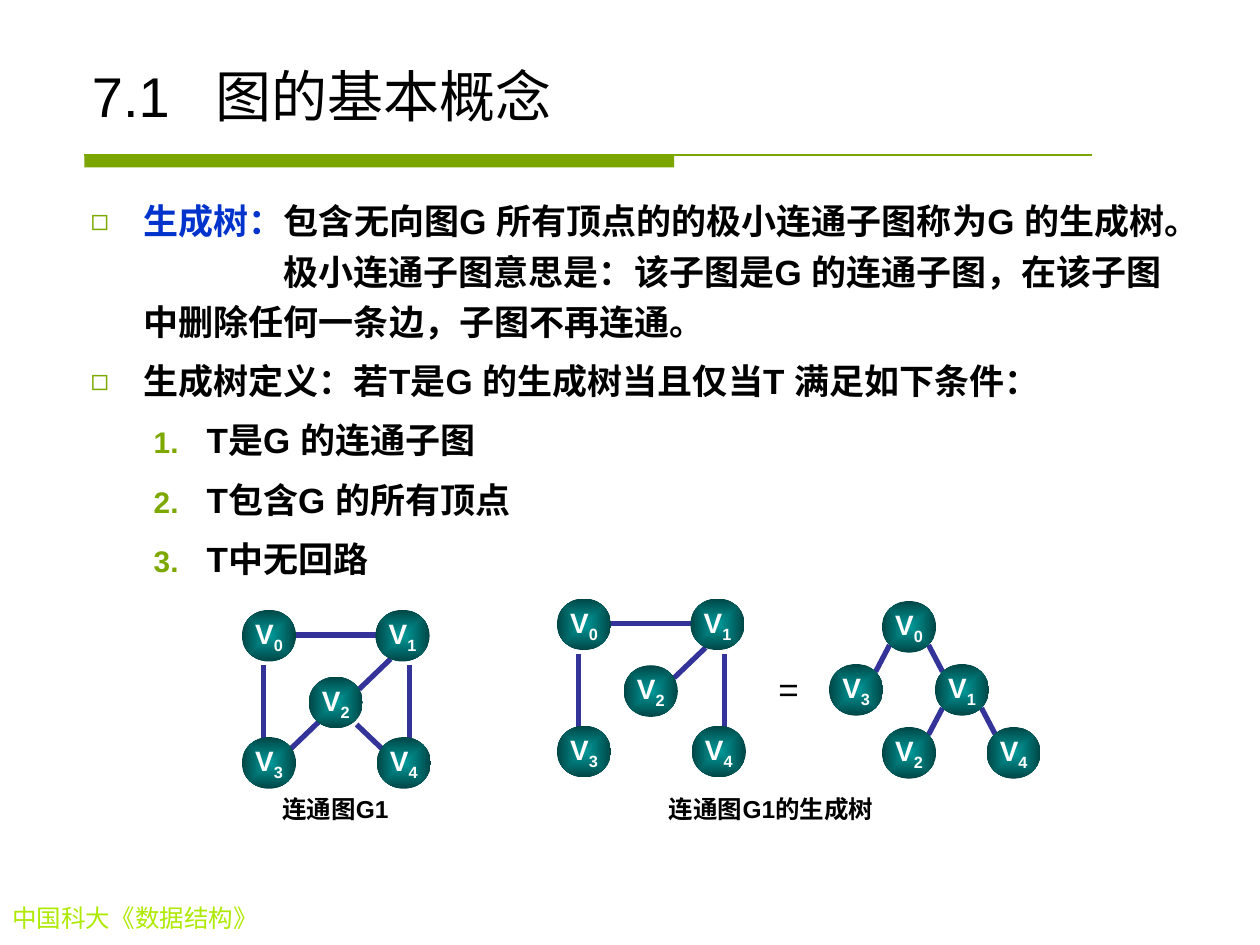
from lxml import etree
from pptx import Presentation
from pptx.dml.color import RGBColor
from pptx.enum import shapes, text
from pptx.oxml import ns
from pptx.util import Inches, Pt

COLORS = {"rule": "7BA600", "bullet": "7CA800", "footer": "ADEA00", "term": "0033CC",
          "ink": "000000", "label": "FFFFFF", "edge": "333399",
          "node_center": "009999", "node_rim": "004646"}
TITLE = "7.1\t图的基本概念"
FOOTER = "中国科大《数据结构》"
# (level, [(text, colour), ...])
BODY = [
    (0, [("生成树：", "term"),
         ("包含无向图G 所有顶点的的极小连通子图称为G 的生成树。\t极小连通子图意思是："
          "该子图是G 的连通子图，在该子图中删除任何一条边，子图不再连通。", "ink")]),
    (0, [("生成树定义：若T是G 的生成树当且仅当T 满足如下条件：", "ink")]),
    (1, [("T是G 的连通子图", "ink")]),
    (1, [("T包含G 的所有顶点", "ink")]),
    (1, [("T中无回路", "ink")]),
]
# Vertex positions and edge ends are offsets from the corner of vertex 0.
SQUARE = {0: (0, 0), 4: (1.07, 1.01), 3: (0, 1.01), 1: (1.06, 0), 2: (0.53, 0.53)}
TREE = {0: (0, 0), 4: (0.83, 1), 3: (-0.42, 0.5), 1: (0.42, 0.5), 2: (0, 1)}
SPANNING_EDGES = [(0.17, 0.44, 0.17, 1.02), (0.42, 0.2, 1.13, 0.2),
                  (1.33, 0.44, 1.33, 1.02), (1.18, 0.39, 0.93, 0.63)]
EXTRA_EDGES = [(0.62, 0.88, 0.37, 1.12), (0.91, 0.91, 1.13, 1.12)]
TREE_EDGES = [(0.06, 0.35, -0.05, 0.56), (0.37, 0.35, 0.48, 0.56),
              (0.48, 0.85, 0.37, 1.06), (0.79, 0.85, 0.9, 1.06)]
GRAPHS = [((1.92, 4.84), SQUARE, SPANNING_EDGES + EXTRA_EDGES),
          ((4.42, 4.75), SQUARE, SPANNING_EDGES),
          ((7, 4.77), TREE, TREE_EDGES)]
# (text, box, size, bold, font, colour, wrap)
LABELS = [
    (FOOTER, (0, 7.12, 3.11, 0.34), 14, False, "Times New Roman", "footer", True),
    ("连通图G1", (2.14, 6.25, 1.09, 0.34), 14, True, "Arial", "ink", False),
    ("连通图G1的生成树", (5.21, 6.25, 1.92, 0.34), 14, True, "Arial", "ink", False),
    ("=", (6.08, 5.25, 0.36, 0.44), 20, False, "Arial", "ink", False),
]
NODE_SIZE = (0.43, 0.41)


def rgb(name):
    return RGBColor.from_string(COLORS[name])


def inches(values):
    return [Inches(value) for value in values]


def add_run(paragraph, content, size, color, bold=False, font="Arial"):
    run = paragraph.add_run()
    run.text = content
    run.font.size, run.font.bold, run.font.name = Pt(size), bold, font
    run.font.color.rgb = rgb(color)
    return run


def add_element(parent, tag, **attributes):
    return etree.SubElement(parent, ns.qn(tag), attributes)


def add_tab_stop(paragraph, position):
    tabs = add_element(paragraph._p.get_or_add_pPr(), "a:tabLst")
    add_element(tabs, "a:tab", pos=str(Inches(position)), algn="l")


def place(placeholder, box):
    placeholder.left, placeholder.top, placeholder.width, placeholder.height = inches(box)
    placeholder.text_frame.auto_size = text.MSO_AUTO_SIZE.NONE


def format_bullet(paragraph, level):
    properties = paragraph._p.get_or_add_pPr()
    properties.set("marL", str(Inches(0.92 if level else 0.42)))
    properties.set("indent", str(Inches(-0.42)))
    add_element(add_element(properties, "a:buClr"), "a:srgbClr", val=COLORS["bullet"])
    add_element(properties, "a:buSzPct", val="85000")
    add_element(properties, "a:buFont", typeface="Arial")
    if level:
        add_element(properties, "a:buAutoNum", type="arabicPeriod")
    else:
        add_element(properties, "a:buChar", char="◻")


def add_line(slide, ends, color, width):
    line = slide.shapes.add_connector(shapes.MSO_CONNECTOR.STRAIGHT, *inches(ends))
    line.line.color.rgb, line.line.width = rgb(color), Pt(width)
    add_element(line._element.spPr, "a:effectLst")


def add_rule(slide):
    bar = slide.shapes.add_shape(shapes.MSO_SHAPE.RECTANGLE, *inches((0.67, 1.23, 4.68, 0.1)))
    bar.shadow.inherit = False
    bar.fill.solid()
    bar.fill.fore_color.rgb = rgb("rule")
    bar.line.fill.background()
    add_line(slide, (0.67, 1.23, 8.67, 1.23), "rule", 0.75)


def add_node(slide, left, top, number):
    node = slide.shapes.add_shape(shapes.MSO_SHAPE.OVAL, *inches((left, top, *NODE_SIZE)))
    node.shadow.inherit = False
    node.line.fill.background()
    node.fill.gradient()
    for stop, color in zip(node.fill.gradient_stops, ("node_center", "node_rim")):
        stop.color.rgb = rgb(color)
    gradient = node._element.spPr.find(ns.qn("a:gradFill"))
    gradient.remove(gradient.find(ns.qn("a:lin")))
    center = add_element(gradient, "a:path", path="rect")
    add_element(center, "a:fillToRect", l="50000", t="50000", r="50000", b="50000")
    frame = node.text_frame
    frame.word_wrap = False
    frame.vertical_anchor = text.MSO_ANCHOR.MIDDLE
    label = frame.paragraphs[0]
    label.alignment = text.PP_ALIGN.CENTER
    add_run(label, "V", 16, "label", True)
    subscript = add_run(label, str(number), 16, "label", True)
    subscript.font._element.set("baseline", "-25000")


def add_graph(slide, origin, vertices, edges):
    x, y = origin
    for x1, y1, x2, y2 in edges:
        add_line(slide, (x + x1, y + y1, x + x2, y + y2), "edge", 3)
    for number, (dx, dy) in vertices.items():
        add_node(slide, x + dx, y + dy, number)


def fill_title(title):
    place(title, (0.63, 0.33, 8.75, 0.74))
    title.text_frame.vertical_anchor = text.MSO_ANCHOR.BOTTOM
    heading = title.text_frame.paragraphs[0]
    heading.alignment = text.PP_ALIGN.LEFT
    add_tab_stop(heading, 0.98)
    add_run(heading, TITLE, 32, "ink")


def fill_body(body):
    place(body, (0.62, 1.47, 8.75, 5.43))
    frame = body.text_frame
    for index, (level, runs) in enumerate(BODY):
        paragraph = frame.add_paragraph() if index else frame.paragraphs[0]
        paragraph.level = level
        paragraph.line_spacing = 1.2
        paragraph.space_before = Pt(5 if index else 0)
        format_bullet(paragraph, level)
        if index == 0:
            add_tab_stop(paragraph, 1.53)
        for content, color in runs:
            add_run(paragraph, content, 20, color, True)


def main():
    deck = Presentation()
    deck.slide_width, deck.slide_height = Inches(10), Inches(7.5)
    slide = deck.slides.add_slide(deck.slide_layouts[1])
    add_rule(slide)
    fill_title(slide.shapes.title)
    fill_body(slide.placeholders[1])
    for graph in GRAPHS:
        add_graph(slide, *graph)
    for content, box, size, bold, font, color, wrap in LABELS:
        label = slide.shapes.add_textbox(*inches(box))
        label.text_frame.word_wrap = wrap
        add_run(label.text_frame.paragraphs[0], content, size, color, bold, font)
    deck.save("out.pptx")


if __name__ == "__main__":
    main()
